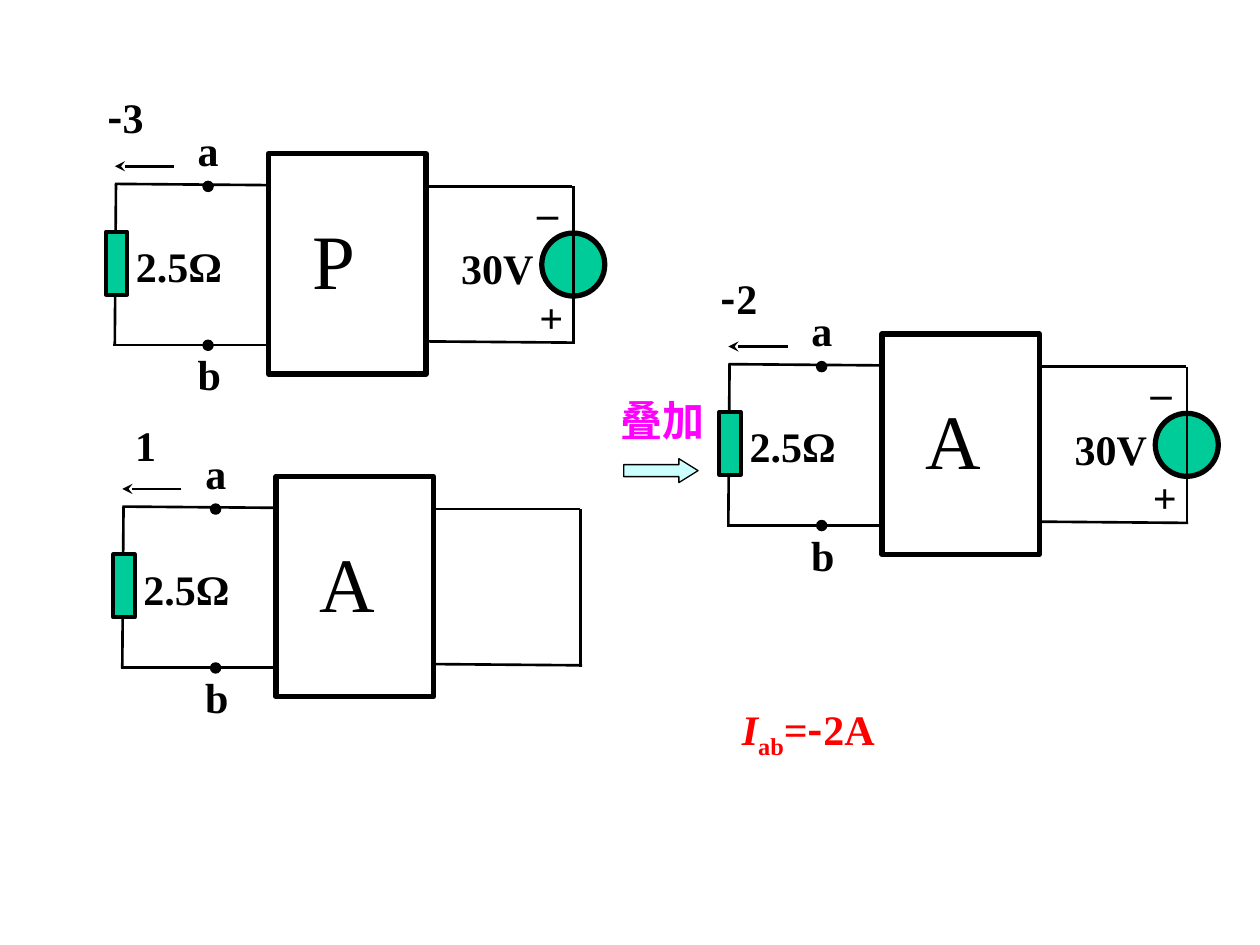
from lxml import etree
from pptx import Presentation
from pptx.dml.color import RGBColor
from pptx.enum.shapes import MSO_CONNECTOR, MSO_SHAPE
from pptx.enum.text import MSO_ANCHOR as ANCHOR, MSO_AUTO_SIZE as AUTO, PP_ALIGN as ALIGN
from pptx.oxml.ns import qn
from pptx.util import Pt

COLORS = {"black": "000000", "white": "FFFFFF", "green": "00CC99",
          "cyan": "CCFFFF", "magenta": "FF00FF", "red": "FF0000"}
SERIF, SANS = "Times New Roman", "Noto Sans CJK SC"

prs = Presentation()
prs.slide_width, prs.slide_height = Pt(720), Pt(540)
shapes = prs.slides.add_slide(prs.slide_layouts[6]).shapes


def add_text(text, x, y, w, h=36, size=24, color="black", bold=True,
             wrap=True, align=ALIGN.LEFT, anchor=ANCHOR.TOP):
    """Add a text box; text is a string or a list of (text, font, italic, baseline)."""
    tf = shapes.add_textbox(Pt(x), Pt(y), Pt(w), Pt(h)).text_frame
    tf.word_wrap, tf.vertical_anchor = wrap, anchor
    tf.auto_size = AUTO.SHAPE_TO_FIT_TEXT
    p = tf.paragraphs[0]
    p.alignment = align
    runs = [(text, SERIF, False, 0)] if isinstance(text, str) else text
    for part, font, italic, baseline in runs:
        r = p.add_run()
        r.text = part
        r.font.name, r.font.size = font, Pt(size)
        r.font.bold, r.font.italic = bold, italic
        r.font.color.rgb = RGBColor.from_string(COLORS[color])
        if baseline:
            r.font._element.set("baseline", str(baseline * 1000))


def add_shape(kind, x, y, w, h, fill, weight):
    sp = shapes.add_shape(kind, Pt(x), Pt(y), Pt(w), Pt(h))
    sp.shadow.inherit = False
    sp.fill.solid()
    sp.fill.fore_color.rgb = RGBColor.from_string(COLORS[fill])
    sp.line.color.rgb = RGBColor.from_string(COLORS["black"])
    sp.line.width = Pt(weight)
    return sp


# Positions inside a circuit are measured from the top left of its box.
WIRES = [(-87.8, 17.3, 0.7, 18), (-87.1, 17.3, -87.8, 109.4), (-88.6, 109.4, 0, 109.4),
         (90, 18.7, 173.5, 18.7), (174.2, 18.7, 174.2, 108.7), (89.3, 107.3, 175, 108)]
CURRENT_ARROW = (-54, 7.2, -87.8, 7.2)
SOURCE_WIRE = (174.2, 45.4, 174.2, 81.4)
PARTS = [(MSO_SHAPE.RECTANGLE, 0, 0, 90, 126, "white", 3),
         (MSO_SHAPE.RECTANGLE, -92.9, 44.6, 12.2, 36, "green", 2.25),
         (MSO_SHAPE.OVAL, -37.4, 15.8, 5.8, 5.8, "black", 0.75),
         (MSO_SHAPE.OVAL, -37.4, 106.6, 5.8, 5.8, "black", 0.75)]
SOURCE = (MSO_SHAPE.OVAL, 156.2, 45.4, 36, 36, "green", 3)
LABELS = [("2.5Ω", -82.8, 46.1, 73.4), ("a", -47.5, -20.2, 30.2), ("b", -47.5, 108, 36)]
SIGNS = [("+", 147.6, 74.9, 28.1), ("–", 146.2, 15.1, 26.6)]

# Box left, box top, box name, current, whether the voltage source is active
CIRCUITS = [(153.4, 87.8, "P", "-3", True),
            (157.7, 272.2, "A", "1", False),
            (504, 190.8, "A", "-2", True)]

for left, top, name, current, active in CIRCUITS:
    parts = PARTS + [SOURCE] if active else PARTS
    steps = WIRES + [CURRENT_ARROW] + parts + [SOURCE_WIRE]
    for step in steps:
        if step in parts:
            kind, x, y, *rest = step
            add_shape(kind, left + x, top + y, *rest)
            continue
        x1, y1, x2, y2 = step
        line = shapes.add_connector(MSO_CONNECTOR.STRAIGHT, Pt(left + x1), Pt(top + y1),
                                    Pt(left + x2), Pt(top + y2))
        line.line.color.rgb = RGBColor.from_string(COLORS["black"])
        line.line.width = Pt(1.5)
        if step == CURRENT_ARROW:
            etree.SubElement(line.line._get_or_add_ln(), qn("a:tailEnd"), type="stealth")
        etree.SubElement(line._element.spPr, qn("a:effectLst"))

    labels = LABELS + [("30V", 103, 47.5, 61.9)] if active else LABELS
    for text, x, y, w in labels:
        add_text(text, left + x, top + y, w)
    add_text(name, left + 18, top + 30.2, 59.8, 59.8, size=44, bold=False)
    if active:
        for text, x, y, w in SIGNS:
            add_text(text, left + x, top + y, w, wrap=False,
                     align=ALIGN.CENTER, anchor=ANCHOR.MIDDLE)
        add_text([("-", SANS, False, 0), (current[1:], SERIF, False, 0)],
                 left - 100.8, top - 38.9, 38.2, wrap=False, align=ALIGN.CENTER)
    else:
        add_text(current, left - 87.8, top - 36, 26.6, wrap=False, align=ALIGN.CENTER)

arrow = add_shape(MSO_SHAPE.RIGHT_ARROW, 356.4, 262.1, 42.5, 13.7, "cyan", 0.75)
arrow.adjustments[0], arrow.adjustments[1] = 0.5, 0.8
add_text("叠加", 347, 221.8, 63.4, color="magenta", wrap=False,
         align=ALIGN.CENTER, anchor=ANCHOR.MIDDLE)

result = [("I", SERIF, True, 0), ("ab", SERIF, False, -25), ("=", SERIF, False, 0),
          ("-", SANS, False, 0), ("2A", SERIF, False, 0)]
add_text(result, 414, 400.3, 95.8, color="red", wrap=False,
         align=ALIGN.CENTER, anchor=ANCHOR.MIDDLE)

prs.save("out.pptx")
